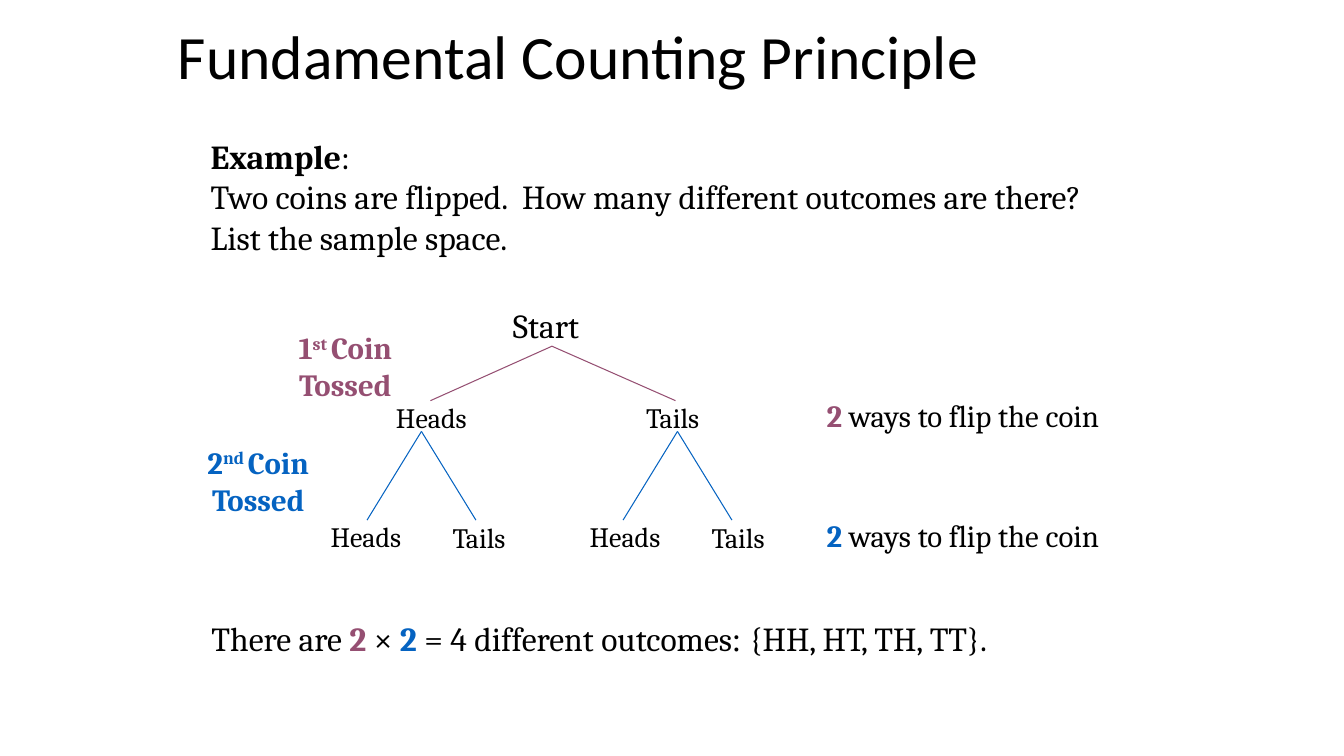
from pptx import Presentation
from pptx import util as u
from pptx.dml import color
from pptx.enum import shapes, text
from lxml import etree

PLUM, BLUE, BLACK = "954F72", "0563C1", "000000"
A = "{http://schemas.openxmlformats.org/drawingml/2006/main}"

prs = Presentation()
prs.slide_width, prs.slide_height = u.Inches(13.33), u.Inches(7.5)
X, Y = prs.slide_width / 100, prs.slide_height / 100
s = prs.slides.add_slide(prs.slide_layouts[6])


def rgb(value):
    return color.RGBColor.from_string(value)


def add_text(x, y, w, h, size, paragraphs, font="Cambria", wrap=True):
    sp = s.shapes.add_textbox(int(x * X), int(y * Y), int(w * X), int(h * Y))
    tf = sp.text_frame
    tf.word_wrap = wrap
    tf.auto_size = text.MSO_AUTO_SIZE.SHAPE_TO_FIT_TEXT
    for i, runs in enumerate(paragraphs):
        p = tf.paragraphs[0] if i == 0 else tf.add_paragraph()
        for words, fill, bold in runs:
            r = p.add_run()
            r.text = words
            r.font.size, r.font.name, r.font.bold = u.Pt(size), font, bold
            r.font.color.rgb = rgb(fill)
    return tf


tf = add_text(12.5, 2.53, 74.5, 10.67, 44,
              [[("Fundamental Counting Principle", BLACK, False)]], "Calibri")
tf.auto_size = text.MSO_AUTO_SIZE.NONE
tf.vertical_anchor = text.MSO_ANCHOR.MIDDLE
tf.paragraphs[0].line_spacing = 0.9

add_text(14.93, 17.33, 70.65, 17.47, 24, [
    [("Example", BLACK, True), (":", BLACK, False)],
    [("Two coins are flipped.  How many different outcomes are there?  "
      "List the sample space.", BLACK, False)],
])

for x, y, w, number, suffix, fill in [
    (19.28, 42.8, 12.83, "1", "st ", PLUM),
    (12.5, 58, 13.43, "2", "nd ", BLUE),
]:
    tf = add_text(x, y, w, 11.2, 22, [
        [(number, fill, True), (suffix, fill, True), ("Coin Tossed", fill, True)]])
    p = tf.paragraphs[0]
    p.alignment = text.PP_ALIGN.CENTER
    p.runs[1].font._element.set("baseline", "30000")

for x, y, w, size, word in [
    (37.43, 39.73, 7.58, 24, "Start"),
    (28.73, 52.27, 7.58, 20, "Heads"),
    (47.34, 52.27, 6.3, 20, "Tails"),
    (23.86, 68, 7.58, 20, "Heads"),
    (32.93, 68.2, 6.3, 20, "Tails"),
    (43.14, 68, 7.58, 20, "Heads"),
    (52.21, 68.2, 6.3, 20, "Tails"),
]:
    add_text(x, y, w, size * 0.28, size, [[(word, BLACK, False)]], wrap=False)

for x, y, ends, end_y, fill in [
    (41.07, 45.8, (32.03, 50.26), 53, PLUM),
    (31.36, 57.07, (27.31, 35.41), 68.8, BLUE),
    (50.41, 57.07, (46.36, 54.46), 68.8, BLUE),
]:
    for end_x in ends:
        c = s.shapes.add_connector(shapes.MSO_CONNECTOR.STRAIGHT, int(x * X),
                                   int(y * Y), int(end_x * X), int(end_y * Y))
        c.line.color.rgb = rgb(fill)
        c.line.width = u.Pt(0.75)
        etree.SubElement(c._element.spPr, A + "effectLst")

for y, fill in [(51.87, PLUM), (67.73, BLUE)]:
    add_text(60.77, y, 26.1, 6.27, 22,
             [[("2", fill, True), (" ways to flip the coin", BLACK, False)]])

tf = add_text(15, 81.07, 71.87, 6.67, 24, [[
    ("There are ", BLACK, False), ("2 ", PLUM, True), ("× ", BLACK, False),
    ("2", BLUE, True), (" = 4 different outcomes", BLACK, False),
    (": ", BLACK, False), ("{HH, HT, TH, TT}.", BLACK, False),
]])
tf.paragraphs[0].runs[5].font.name = "Times New Roman"

prs.save("out.pptx")
